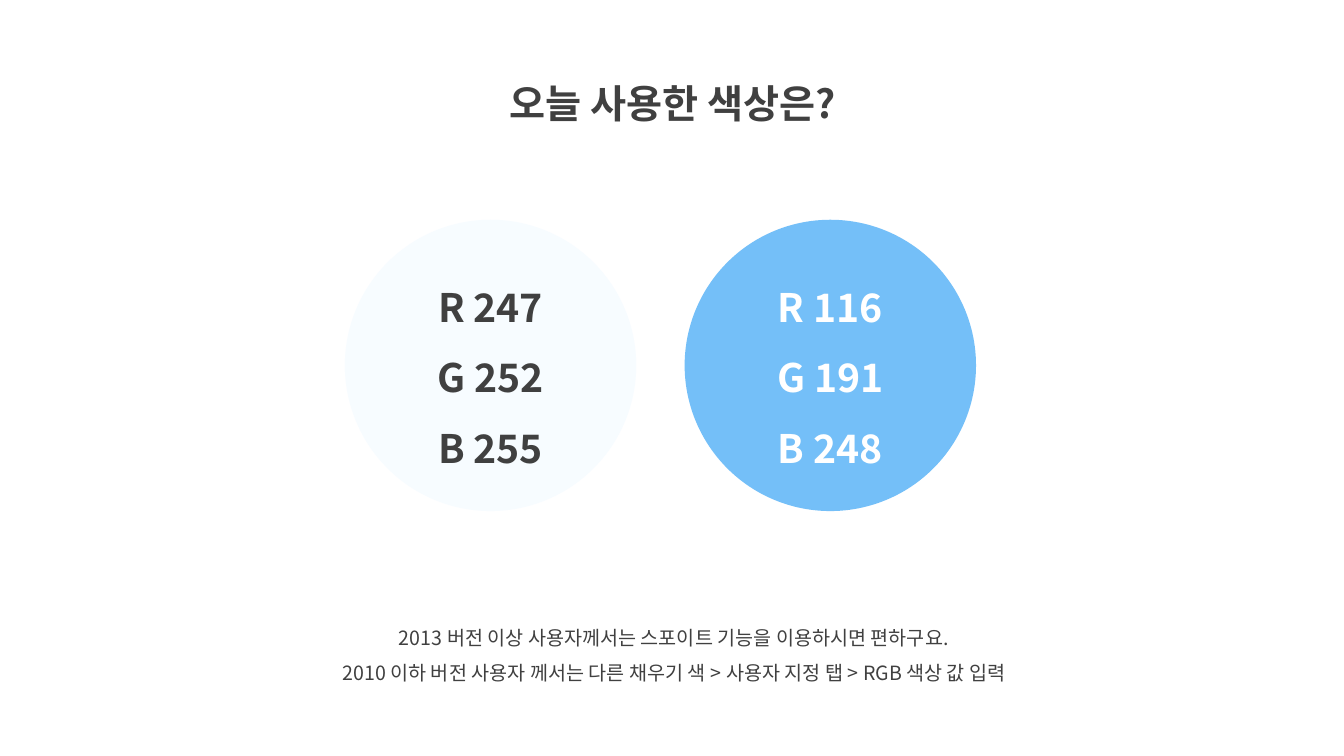
import pptx
import pptx.dml.color
import pptx.enum.shapes
import pptx.enum.text
import pptx.oxml
import pptx.oxml.ns
import pptx.util
from pptx.util import Inches

RGBColor = pptx.dml.color.RGBColor
DARK = RGBColor(0x40, 0x40, 0x40)
WHITE = RGBColor(255, 255, 255)
PALE_BLUE = RGBColor(247, 252, 255)
SKY_BLUE = RGBColor(116, 191, 248)
FONT = "Noto Sans CJK KR"
CIRCLE_TOP = 2.18
CIRCLE_SIZE = 2.89


def write_lines(tf, lines, size, color, bold):
    """Fill a text frame with centred paragraphs at 1.5 line spacing."""
    tf.word_wrap = True
    tf.text = "\n".join(lines)
    for p in tf.paragraphs:
        p.alignment = pptx.enum.text.PP_ALIGN.CENTER
        p.line_spacing = 1.5
        p.font.size = pptx.util.Pt(size)
        p.font.bold = bold
        p.font.color.rgb = color
        p.font.name = FONT
        defaults = p._p.pPr.find(pptx.oxml.ns.qn("a:defRPr"))
        ea = pptx.oxml.parse_xml(
            f'<a:ea {pptx.oxml.ns.nsdecls("a")} typeface="{FONT}"/>')
        defaults.append(ea)


def format_title(s, text):
    """Place and style the slide title."""
    title = s.shapes.title
    title.left, title.top = Inches(4.36), Inches(0.5)
    title.width, title.height = Inches(4.63), Inches(0.72)
    tf = title.text_frame
    tf.vertical_anchor = pptx.enum.text.MSO_ANCHOR.TOP
    tf.auto_size = pptx.enum.text.MSO_AUTO_SIZE.SHAPE_TO_FIT_TEXT
    write_lines(tf, [text], 28, DARK, True)


def add_color_circle(s, left, fill, text_color):
    """Add a circle labelled with the RGB values of its own fill."""
    sp = s.shapes.add_shape(
        pptx.enum.shapes.MSO_SHAPE.OVAL, Inches(left), Inches(CIRCLE_TOP),
        Inches(CIRCLE_SIZE), Inches(CIRCLE_SIZE))
    sp.shadow.inherit = False
    sp.fill.solid()
    sp.fill.fore_color.rgb = fill
    sp.line.fill.background()
    sp.text_frame.vertical_anchor = pptx.enum.text.MSO_ANCHOR.MIDDLE
    lines = [f"{channel} {value}" for channel, value in zip("RGB", fill)]
    write_lines(sp.text_frame, lines, 28, text_color, True)


def add_note(s, lines):
    """Add the usage note below the circles."""
    box = s.shapes.add_textbox(
        Inches(2.69), Inches(6.04), Inches(7.99), Inches(0.81))
    tf = box.text_frame
    tf.auto_size = pptx.enum.text.MSO_AUTO_SIZE.SHAPE_TO_FIT_TEXT
    write_lines(tf, lines, 14, DARK, False)


def main():
    """Build the colour slide and save it."""
    prs = pptx.Presentation()
    prs.slide_width, prs.slide_height = Inches(13.33), Inches(7.5)
    s = prs.slides.add_slide(prs.slide_layouts.get_by_name("Title Only"))
    format_title(s, "오늘 사용한 색상은?")
    add_note(s, [
        "2013 버전 이상 사용자께서는 스포이트 기능을 이용하시면 편하구요.",
        "2010 이하 버전 사용자 께서는 다른 채우기 색 > 사용자 지정 탭 > RGB 색상 값 입력",
    ])
    add_color_circle(s, 6.79, SKY_BLUE, WHITE)
    add_color_circle(s, 3.42, PALE_BLUE, DARK)
    prs.save("out.pptx")


if __name__ == "__main__":
    main()
